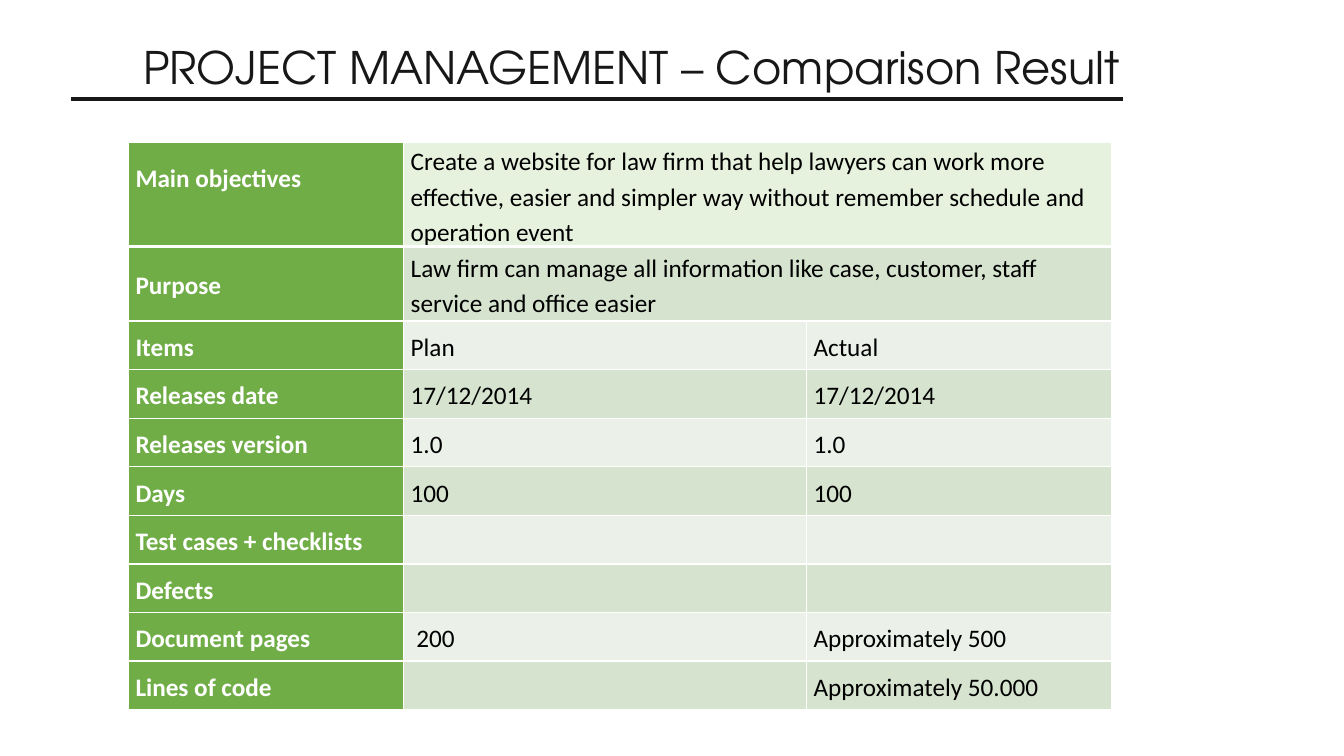
from lxml import etree
from pptx import Presentation
from pptx.dml.color import RGBColor
from pptx.enum import shapes, text
from pptx.oxml import ns
from pptx.util import Pt

COLORS = {
    "ink": "181717", "black": "000000", "white": "FFFFFF", "green": "70AD47",
    "summary": "E6F2DE", "light": "EBF1E9", "dark": "D5E3CF",
}
ROWS = [
    ("Main objectives", "Create a website for law firm that help lawyers can work more "
     "effective, easier and simpler way without remember schedule and operation event"),
    ("Purpose", "Law firm can manage all information like case, customer, staff "
     "service and office easier"),
    ("Items", "Plan", "Actual"),
    ("Releases date", "17/12/2014", "17/12/2014"),
    ("Releases version", "1.0", "1.0"),
    ("Days", "100", "100"),
    ("Test cases + checklists", "", ""),
    ("Defects", "", ""),
    ("Document pages", " 200", "Approximately 500"),
    ("Lines of code", "", "Approximately 50.000"),
]
COLUMN_SHARES = (0.28, 0.41, 0.31)
TALL_ROW, ROW = 53.3, 34.7


def rgb(name):
    return RGBColor.from_string(COLORS[name])


def apply(target, **values):
    for name, value in values.items():
        setattr(target, name, value)


def add_heading(s, left, top, width, height):
    sp = s.shapes.title
    apply(sp, left=Pt(left + 44), top=Pt(top), width=Pt(width - 29), height=Pt(height))
    tf = sp.text_frame
    apply(tf, word_wrap=False, auto_size=text.MSO_AUTO_SIZE.SHAPE_TO_FIT_TEXT,
          vertical_anchor=text.MSO_ANCHOR.TOP)
    p = tf.paragraphs[0]
    p.alignment = text.PP_ALIGN.LEFT
    r = p.add_run()
    r.text = "PROJECT MANAGEMENT – Comparison Result"
    apply(r.font, name="TeX Gyre Adventor", size=Pt(32), bold=False)
    r.font.color.rgb = rgb("ink")

    rule = s.shapes.add_connector(shapes.MSO_CONNECTOR.STRAIGHT, Pt(left), Pt(top + height),
                                  Pt(left + width), Pt(top + height))
    rule.line.width = Pt(3)
    rule.line.color.rgb = rgb("ink")
    etree.SubElement(rule._element.spPr, ns.qn("a:effectLst"))


def add_borders(cell, **widths):
    tcPr = cell._tc.get_or_add_tcPr()
    for side, width in widths.items():
        ln = etree.SubElement(tcPr, ns.qn(f"a:ln{side}"), w=str(Pt(width)))
        fill = etree.SubElement(ln, ns.qn("a:solidFill"))
        etree.SubElement(fill, ns.qn("a:srgbClr"), val=COLORS["white"])


def fill_cell(cell, words, fill, color, bold):
    cell.fill.solid()
    cell.fill.fore_color.rgb = rgb(fill)
    apply(cell, margin_left=Pt(5), margin_right=Pt(5), margin_top=0, margin_bottom=0,
          vertical_anchor=text.MSO_ANCHOR.MIDDLE)
    p = cell.text_frame.paragraphs[0]
    apply(p, line_spacing=1.15, space_after=Pt(10))
    apply(p.font, name="Calibri", size=Pt(18), bold=bold)
    if words:
        r = p.add_run()
        r.text = words
        apply(r.font, name="Calibri", size=Pt(18), bold=bold)
        r.font.color.rgb = rgb(color)


def add_comparison(s, left, top, width):
    heights = [TALL_ROW if len(row) == 2 else ROW for row in ROWS]
    table = s.shapes.add_table(len(ROWS), len(COLUMN_SHARES), Pt(left), Pt(top),
                               Pt(width), Pt(sum(heights))).table
    apply(table, first_row=False, horz_banding=False)
    for column, share in zip(table.columns, COLUMN_SHARES):
        column.width = Pt(width * share)
    for i, (row, height) in enumerate(zip(ROWS, heights)):
        table.rows[i].height = Pt(height)
        band = "summary" if i == 0 else "dark" if i % 2 else "light"
        for cell in table.rows[i].cells:
            add_borders(cell, L=1, R=1, T=3 if i == 1 else 1, B=3 if i == 0 else 1)
        if len(row) == 2:
            table.cell(i, 1).merge(table.cell(i, 2))
        for j, words in enumerate(row):
            style = ("green", "white", True) if j == 0 else (band, "black", False)
            fill_cell(table.cell(i, j), words, *style)
    table.cell(0, 0).margin_bottom = Pt(25)


def build_comparison_slide(prs):
    s = prs.slides.add_slide(prs.slide_layouts[5])
    s.background.fill.solid()
    s.background.fill.fore_color.rgb = rgb("white")
    add_heading(s, 51, 24.5, 751, 46)
    add_comparison(s, 91.8, 101.5, 702)


def main():
    prs = Presentation()
    apply(prs, slide_width=Pt(960), slide_height=Pt(540))
    build_comparison_slide(prs)
    prs.save("out.pptx")


if __name__ == "__main__":
    main()
